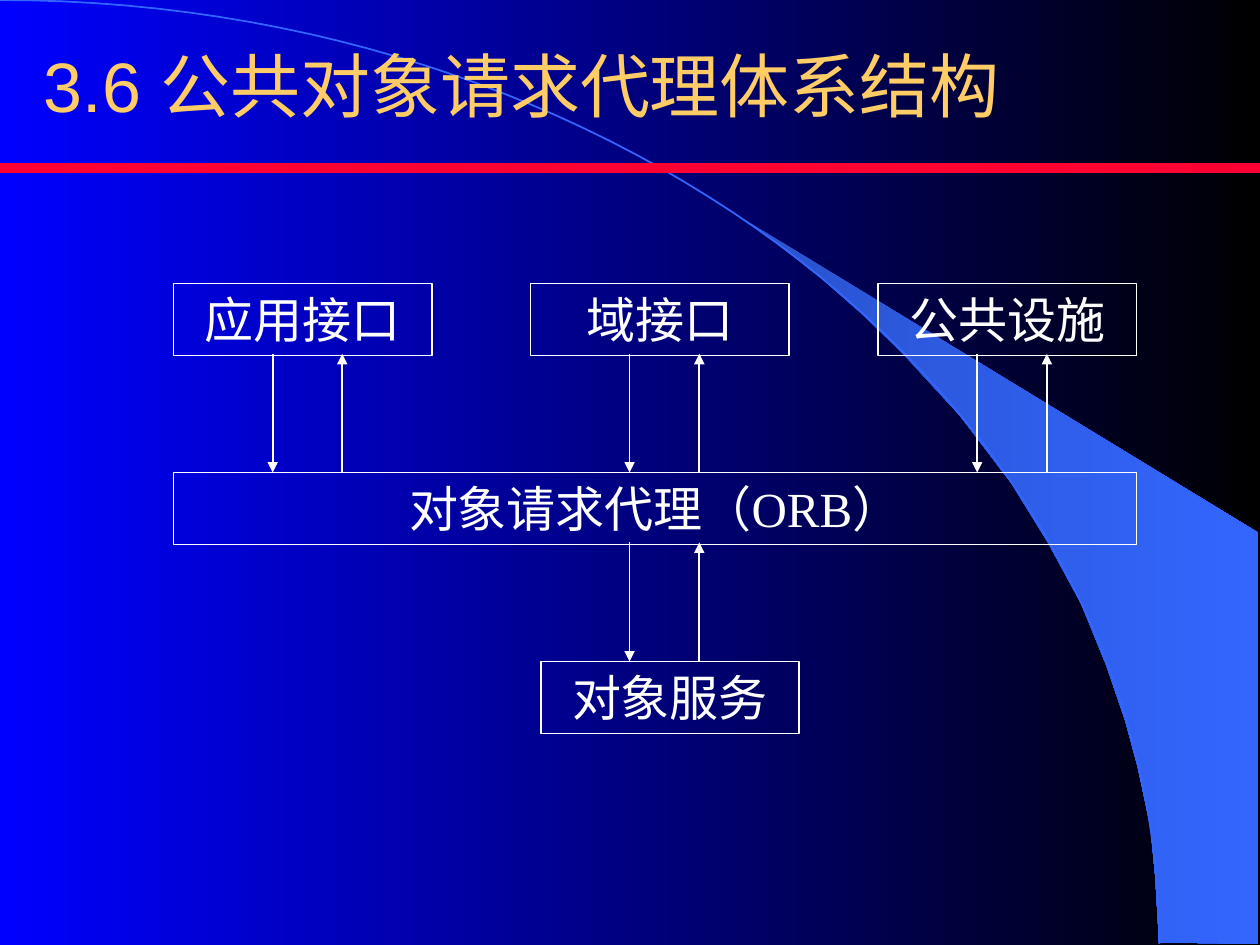
from lxml import etree
from pptx import Presentation
from pptx.dml.color import RGBColor
from pptx.enum import shapes, text
from pptx.oxml import ns
from pptx.util import Pt

WHITE = RGBColor(0xFF, 0xFF, 0xFF)
BLACK = RGBColor(0, 0, 0)
BLUE = RGBColor(0, 0, 0xFF)
SKY = RGBColor(0x33, 0x66, 0xFF)
DUSK = RGBColor(0x29, 0x52, 0xCC)
GOLD = RGBColor(0xFF, 0xCC, 0x66)
RED = RGBColor(0xFF, 0, 0x33)

HEAD = {"name": "Arial", "size": Pt(40)}
BODY = {"name": "Times New Roman", "size": Pt(28)}

WIDE, HIGH = 720, 540
BOX_W, BOX_H = 147.6, 41.2
TOP_Y, BUS_Y, LOW_Y = 162, 270, 378
TOPS = [(99.2, "应用接口"), (303.2, "域接口"), (501.8, "公共设施")]
DOWN, GAP = 56.6, 39.8

FIN = [(662.4, 538.6), (719.3, 539.3), (719.3, 304.6), (424.1, 124.6),
       (449.3, 143.3), (470.2, 159.8), (493.2, 180), (515.5, 201.6),
       (548.6, 237.6), (578.2, 276.5), (599, 310.3), (617.8, 344.9),
       (632.2, 380.2), (643, 411.8), (650.2, 438.5), (657.4, 472.3),
       (660.2, 501.1)]


def curve(ends, steps=60):
    """Points along a cubic Bezier with the four given control points."""
    spots = []
    for i in range(steps + 1):
        t = i / steps
        parts = ((1 - t) ** 3, 3 * t * (1 - t) ** 2, 3 * t * t * (1 - t), t ** 3)
        spots.append(tuple(sum(k * p[axis] for k, p in zip(parts, ends))
                           for axis in (0, 1)))
    return spots


class Deck:
    """Holds the slide and draws each kind of element in one style."""

    def __init__(self):
        self.prs = Presentation()
        self.prs.slide_width, self.prs.slide_height = Pt(WIDE), Pt(HIGH)
        self.slide = self.prs.slides.add_slide(self.prs.slide_layouts[6])
        self.items = self.slide.shapes

    def blend(self, fill, *tones):
        fill.gradient()
        fill.gradient_angle = 0
        for stop, tone, place in zip(fill.gradient_stops, tones, (0, 1)):
            stop.color.rgb = tone
            stop.position = place

    def pen(self, line, tone, width):
        line.color.rgb = tone
        line.width = Pt(width)

    def trace(self, spots, close):
        spots = [(Pt(x), Pt(y)) for x, y in spots]
        maker = self.items.build_freeform(*spots[0])
        maker.add_line_segments(spots[1:], close=close)
        shape = maker.convert_to_shape()
        shape.shadow.inherit = False
        return shape

    def fin(self, spots):
        shape = self.trace(spots, True)
        self.blend(shape.fill, DUSK, SKY)
        shape.line.fill.background()

    def arc(self, ends):
        shape = self.trace(curve(ends), False)
        shape.fill.background()
        self.pen(shape.line, SKY, 1)

    def label(self, shape, words, look, tone, align, frame):
        body = shape.text_frame
        for key, value in frame.items():
            setattr(body, key, value)
        para = body.paragraphs[0]
        para.alignment = align
        run = para.add_run()
        run.text = words
        for key, value in look.items():
            setattr(run.font, key, value)
        run.font.color.rgb = tone

    def title(self, x, y, w, h, words):
        shape = self.items.add_textbox(Pt(x), Pt(y), Pt(w), Pt(h))
        self.label(shape, words, HEAD, GOLD, text.PP_ALIGN.LEFT,
                   {"word_wrap": True,
                    "vertical_anchor": text.MSO_ANCHOR.MIDDLE})

    def box(self, x, y, words, w=BOX_W):
        shape = self.items.add_shape(shapes.MSO_SHAPE.RECTANGLE,
                                     Pt(x), Pt(y), Pt(w), Pt(BOX_H))
        shape.shadow.inherit = False
        shape.fill.background()
        self.pen(shape.line, WHITE, 1)
        self.label(shape, words, BODY, WHITE, text.PP_ALIGN.CENTER,
                   {"word_wrap": True,
                    "vertical_anchor": text.MSO_ANCHOR.TOP,
                    "auto_size": text.MSO_AUTO_SIZE.SHAPE_TO_FIT_TEXT})

    def rule(self, x1, y1, x2, y2, tone=WHITE, width=1, arrow=False):
        line = self.items.add_connector(shapes.MSO_CONNECTOR.STRAIGHT,
                                        Pt(x1), Pt(y1), Pt(x2), Pt(y2))
        self.pen(line.line, tone, width)
        props = line._element.spPr
        if arrow:
            end = etree.SubElement(props.find(ns.qn("a:ln")),
                                   ns.qn("a:tailEnd"))
            end.set("type", "triangle")
        etree.SubElement(props, ns.qn("a:effectLst"))

    def pair(self, x, top, low):
        """One arrow down at x and one arrow up beside it."""
        self.rule(x, top, x, low, arrow=True)
        self.rule(x + GAP, low, x + GAP, top, arrow=True)


def main():
    deck = Deck()
    deck.blend(deck.slide.background.fill, BLUE, BLACK)
    deck.fin(FIN)
    deck.arc([(0, 0), (365.8, 0), (662.4, 241.2), (662.4, 539.3)])
    deck.title(18, 18, 612, 60, "3.6 公共对象请求代理体系结构")
    deck.rule(0, 96, WIDE, 96, RED, 6)

    left, right = TOPS[0][0], TOPS[-1][0] + BOX_W
    deck.box(left, BUS_Y, "对象请求代理（ORB）", right - left)
    for x, words in TOPS:
        deck.box(x, TOP_Y, words)
        deck.pair(x + DOWN, TOP_Y + 40.2, BUS_Y)
    deck.box(309, LOW_Y, "对象服务")
    deck.pair(TOPS[1][0] + DOWN, BUS_Y + 40, LOW_Y)
    deck.prs.save("out.pptx")


if __name__ == "__main__":
    main()
